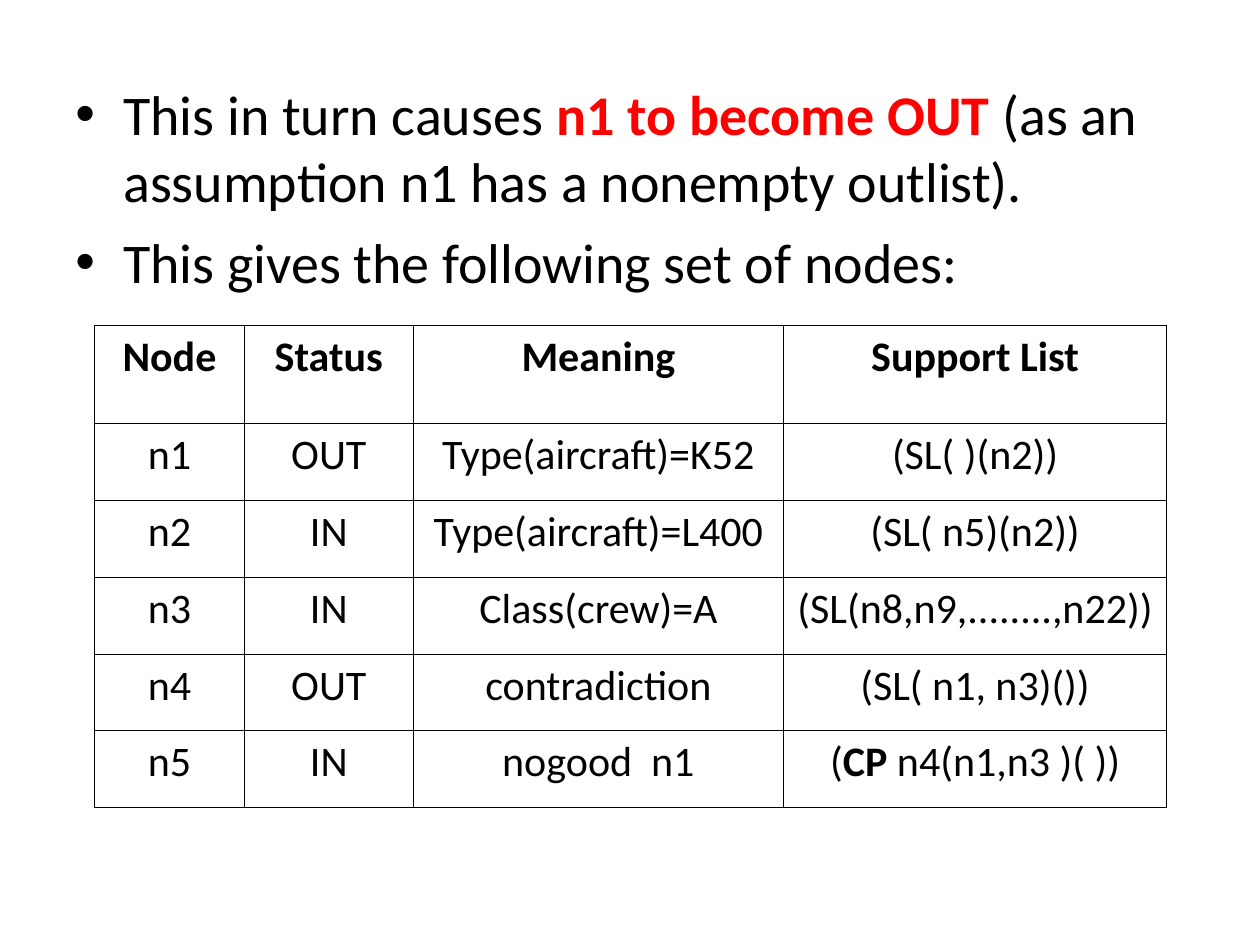
from lxml import etree
from pptx import Presentation
from pptx.dml.color import RGBColor
from pptx.enum.text import PP_ALIGN
from pptx.oxml.ns import qn
from pptx.util import Inches, Pt

CENTER = PP_ALIGN.CENTER
FONT = "Calibri"
BLACK, RED, WHITE = "000000", "FF0000", "FFFFFF"


def color(hex_code):
    return RGBColor.from_string(hex_code)


def write(paragraph, text, size, bold=False, emphasis=BLACK):
    """Fill a paragraph; pieces between ** marks are bold in the emphasis colour."""
    paragraph.font.name, paragraph.font.size = FONT, Pt(size)
    paragraph.font.bold = bold
    paragraph.font.color.rgb = color(BLACK)
    for i, piece in enumerate(text.split("**")):
        run = paragraph.add_run()
        run.text = piece
        if i % 2:
            run.font.bold = True
            run.font.color.rgb = color(emphasis)


prs = Presentation()
prs.slide_width, prs.slide_height = Inches(10), Inches(7.5)
slide = prs.slides.add_slide(prs.slide_layouts[6])

# Bulleted introduction
points = [
    "This in turn causes **n1 to become OUT **(as an assumption n1 has a nonempty outlist).",
    "This gives the following set of nodes:",
]
intro = slide.shapes.add_textbox(Inches(0.5), Inches(0.58), Inches(9), Inches(2.08)).text_frame
intro.word_wrap = True
for i, point in enumerate(points):
    paragraph = intro.add_paragraph() if i else intro.paragraphs[0]
    paragraph.space_before = Pt(8)
    properties = paragraph._p.get_or_add_pPr()
    properties.set("marL", str(Inches(0.38)))
    properties.set("indent", str(-Inches(0.38)))
    etree.SubElement(properties, qn("a:buFont"), typeface="Arial")
    etree.SubElement(properties, qn("a:buChar"), char="•")
    write(paragraph, point, 32, emphasis=RED)

# Node table
nodes = [
    ("Node", "Status", "Meaning", "Support List"),
    ("n1", "OUT", "Type(aircraft)=K52", "(SL( )(n2))"),
    ("n2", "IN", "Type(aircraft)=L400", "(SL( n5)(n2))"),
    ("n3", "IN", "Class(crew)=A", "(SL(n8,n9,........,n22))"),
    ("n4", "OUT", "contradiction", "(SL( n1, n3)())"),
    ("n5", "IN", "nogood  n1", "(**CP** n4(n1,n3 )( ))"),
]
column_widths = [1.19, 1.34, 2.94, 3.04]
row_heights = [0.78] + [0.61] * 5
table = slide.shapes.add_table(
    len(nodes), len(column_widths), Inches(0.75), Inches(2.58),
    Inches(sum(column_widths)), Inches(sum(row_heights))).table
for column, width in zip(table.columns, column_widths):
    column.width = Inches(width)
for row, height in zip(table.rows, row_heights):
    row.height = Inches(height)

for r, node in enumerate(nodes):
    for c, text in enumerate(node):
        cell = table.cell(r, c)
        cell.margin_left = cell.margin_right = Inches(0.08)
        cell.margin_top = cell.margin_bottom = Inches(0.05)
        # Thin black borders go before the fill in the cell's properties
        for side in ("lnL", "lnR", "lnT", "lnB"):
            border = etree.SubElement(cell._tc.get_or_add_tcPr(), qn(f"a:{side}"), w=str(Pt(0.45)))
            line_fill = etree.SubElement(border, qn("a:solidFill"))
            etree.SubElement(line_fill, qn("a:srgbClr"), val=BLACK)
        cell.fill.solid()
        cell.fill.fore_color.rgb = color(WHITE)
        paragraph = cell.text_frame.paragraphs[0]
        paragraph.alignment = CENTER
        write(paragraph, text, 24, bold=r == 0)

prs.save("out.pptx")
